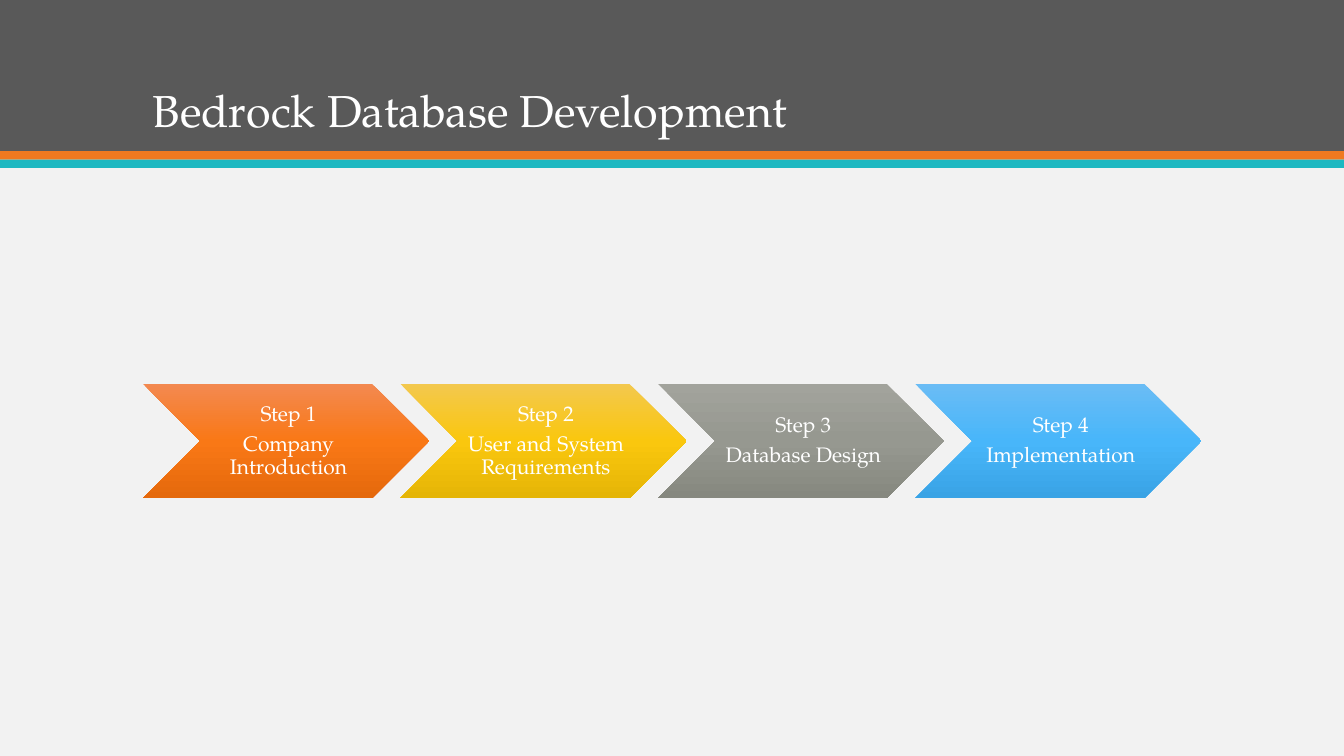
import copy

import pptx
import pptx.dml.color
import pptx.enum.shapes
import pptx.enum.text
import pptx.util

Pt = pptx.util.Pt
RGB = pptx.dml.color.RGBColor.from_string
Shape = pptx.enum.shapes.MSO_SHAPE
Align = pptx.enum.text.PP_ALIGN
Anchor = pptx.enum.text.MSO_ANCHOR

theme = {
    "font": "TeX Gyre Pagella",
    "title_size": 32,
    "step_size": 15,
    "text": "FFFFFF",
    "background": "F2F2F2",
    "header": "595959",
    "orange_stripe": "EF7920",
    "teal_stripe": "1EB8C1",
    "step_gradients": [
        ("F38950", "F97816", "E5690C"),
        ("F3C84E", "FAC70E", "E5B506"),
        ("A2A39C", "969890", "86887F"),
        ("6ABCF5", "48B6FA", "39A3E5"),
    ],
}


def write_text(shape, lines, size, frame_format, paragraph_format):
    frame = shape.text_frame
    frame.text = "\n".join(lines)
    for name, value in frame_format.items():
        setattr(frame, name, value)
    for paragraph in frame.paragraphs:
        for name, value in paragraph_format.items():
            setattr(paragraph, name, value)
        font = paragraph.runs[0].font
        for name, value in {"name": theme["font"], "size": Pt(size)}.items():
            setattr(font, name, value)
        font.color.rgb = RGB(theme["text"])


def fill_gradient(shape, colors):
    shape.fill.gradient()
    shape.fill.gradient_angle = 270
    stop_list = shape._element.spPr.xpath(".//a:gsLst")[0]
    stop_list.insert(1, copy.deepcopy(stop_list[0]))
    for stop, position, color in zip(shape.fill.gradient_stops, (0, 0.5, 1), colors):
        stop.position = position
        stop.color.rgb = RGB(color)


presentation = pptx.Presentation()
presentation.slide_width = Pt(960)
presentation.slide_height = Pt(540)
slide = presentation.slides.add_slide(presentation.slide_layouts[6])
slide.background.fill.solid()
slide.background.fill.fore_color.rgb = RGB(theme["background"])

bands = [("header", 0, 108), ("orange_stripe", 108, 6), ("teal_stripe", 114, 6)]
for color_name, top, height in bands:
    band = slide.shapes.add_shape(Shape.RECTANGLE, 0, Pt(top), Pt(960), Pt(height))
    band.shadow.inherit = False
    band.fill.solid()
    band.fill.fore_color.rgb = RGB(theme[color_name])
    band.line.fill.background()

title = slide.shapes.add_textbox(Pt(102), Pt(20), Pt(756), Pt(81.5))
write_text(
    title,
    ["Bedrock Database Development"],
    theme["title_size"],
    {"word_wrap": True, "vertical_anchor": Anchor.BOTTOM},
    {"line_spacing": 0.9},
)

steps = [
    "Company Introduction",
    "User and System Requirements",
    "Database Design",
    "Implementation",
]
step_left, step_top = 102.2, 274.2
step_width, step_height = 204.3, 81.7
step_pitch = step_width * 0.9
step_frame_format = {
    "word_wrap": True,
    "vertical_anchor": Anchor.MIDDLE,
    "margin_left": Pt(5),
    "margin_right": Pt(1.5),
    "margin_top": Pt(1.5),
    "margin_bottom": Pt(1.5),
}
step_paragraph_format = {
    "alignment": Align.CENTER,
    "line_spacing": 0.9,
    "space_after": Pt(theme["step_size"] * 0.35),
}
for index, (name, gradient) in enumerate(zip(steps, theme["step_gradients"])):
    chevron = slide.shapes.add_shape(
        Shape.CHEVRON,
        Pt(step_left + index * step_pitch),
        Pt(step_top),
        Pt(step_width),
        Pt(step_height),
    )
    chevron.shadow.inherit = False
    chevron.line.fill.background()
    fill_gradient(chevron, gradient)
    write_text(
        chevron,
        [f"Step {index + 1}", name],
        theme["step_size"],
        step_frame_format,
        step_paragraph_format,
    )

presentation.save("out.pptx")
